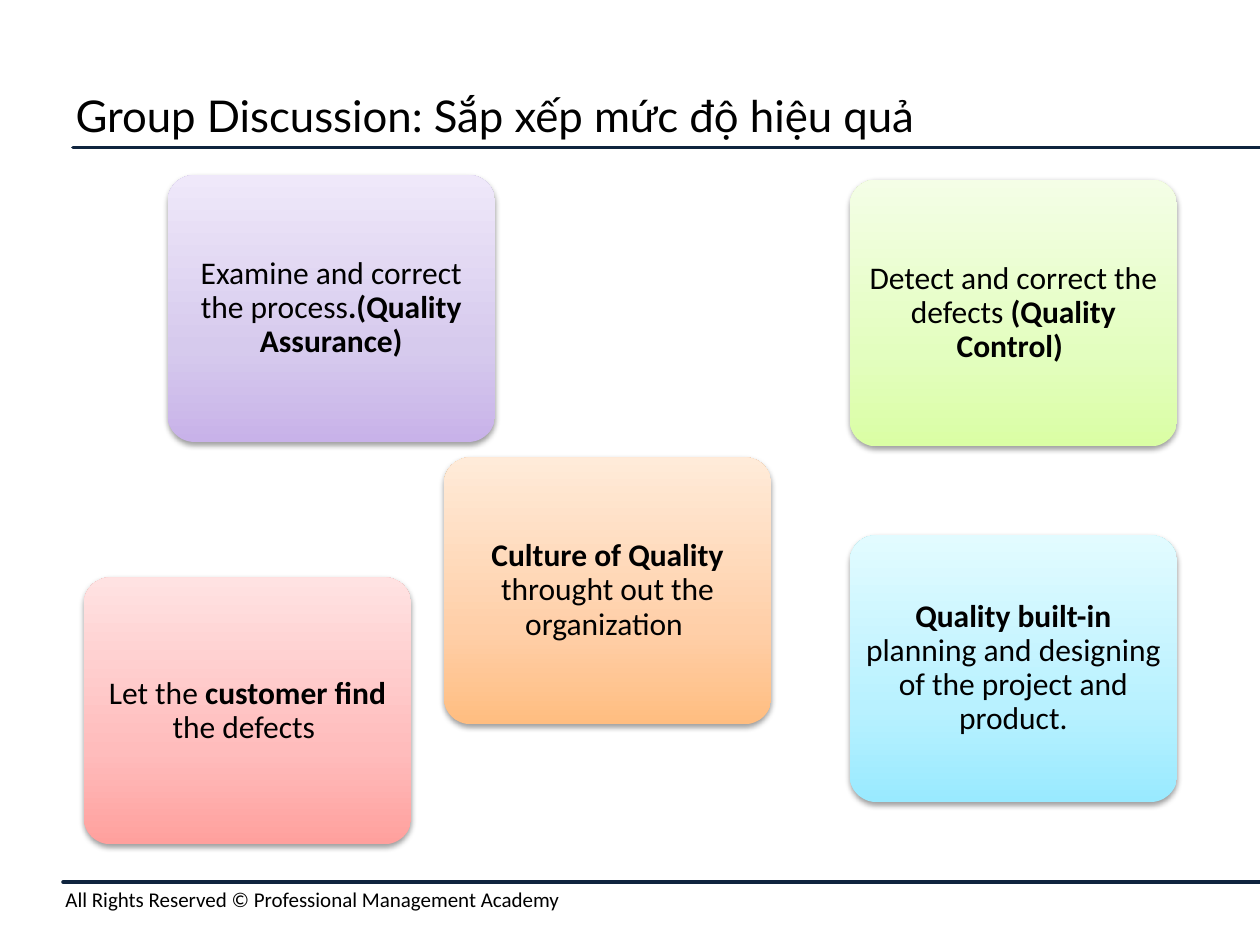
from copy import deepcopy

from lxml.etree import SubElement
from pptx import Presentation
from pptx.dml.color import RGBColor
from pptx.enum.shapes import MSO_CONNECTOR, MSO_SHAPE
from pptx.enum.text import MSO_ANCHOR, PP_ALIGN
from pptx.oxml.ns import qn
from pptx.util import Cm, Pt

PAGE_WIDTH, PAGE_HEIGHT = 25.4, 19.05
CARD_WIDTH, CARD_HEIGHT = 6.6, 5.38
RIGHT_COLUMN = 17.13
NAVY, BLACK = "0F243E", "000000"

# left, top, gradient from bottom to top, (text, bold) spans
CARDS = [
    (1.69, 11.64, ("FFA09D", "FFBCBC", "FFE2E2"),
     [("Let the ", False), ("customer find ", True), ("the defects ", False)]),
    (RIGHT_COLUMN, 3.62, ("DAFEA4", "E3FEBF", "F4FEE6"),
     [("Detect and correct the defects ", False), ("(Quality Control) ", True)]),
    (3.38, 3.53, ("C8B2E9", "D6CAED", "EFE8FA"),
     [("Examine and correct the process", False), (".(Quality Assurance)", True)]),
    (RIGHT_COLUMN, 10.79, ("99EAFF", "B8F1FF", "E2FBFF"),
     [("Quality built-in ", True),
      ("planning and designing of the project and product.", False)]),
    (8.95, 9.22, ("FFBD80", "FFCFA8", "FFEBD9"),
     [("Culture of Quality ", True), ("throught out the organization ", False)]),
]


def color(value):
    return RGBColor.from_string(value)


def place(shape, left, top, width, height):
    shape.left, shape.top = Cm(left), Cm(top)
    shape.width, shape.height = Cm(width), Cm(height)


def add_span(para, text, size, font="Calibri", bold=False):
    span = para.add_run()
    span.text = text
    span.font.name = font
    span.font.size = Pt(size)
    span.font.bold = bold
    span.font.color.rgb = color(BLACK)


def add_rule(page, left, top):
    """Draw a navy line from left to the right edge of the page."""
    rule = page.shapes.add_connector(
        MSO_CONNECTOR.STRAIGHT, Cm(left), Cm(top), Cm(PAGE_WIDTH), Cm(top))
    rule.line.color.rgb = color(NAVY)
    rule.line.width = Pt(2)
    properties = rule._element.spPr
    SubElement(properties, qn("a:effectLst"))
    properties.find(qn("a:ln")).set("cap", "rnd")


def fill_gradient(shape, colors):
    shape.fill.gradient()
    shape.fill.gradient_angle = 90
    stops = shape._element.spPr.find(qn("a:gradFill")).find(qn("a:gsLst"))
    stops.append(deepcopy(stops[0]))
    for stop, value, position in zip(shape.fill.gradient_stops, colors, (0, 0.35, 1)):
        stop.color.rgb = color(value)
        stop.position = position


def add_soft_shadow(shape):
    shape.shadow.inherit = False
    effects = shape._element.spPr.find(qn("a:effectLst"))
    shadow = SubElement(effects, qn("a:outerShdw"), blurRad="40000", dist="20000",
                        dir="5400000", rotWithShape="0")
    shade = SubElement(shadow, qn("a:srgbClr"), val=BLACK)
    SubElement(shade, qn("a:alpha"), val="38000")


def add_card(page, left, top, colors, spans):
    card = page.shapes.add_shape(
        MSO_SHAPE.ROUNDED_RECTANGLE,
        Cm(left), Cm(top), Cm(CARD_WIDTH), Cm(CARD_HEIGHT))
    card.adjustments[0] = 0.1
    fill_gradient(card, colors)
    card.line.fill.background()
    add_soft_shadow(card)

    frame = card.text_frame
    frame.word_wrap = True
    frame.vertical_anchor = MSO_ANCHOR.MIDDLE
    frame.margin_left = frame.margin_right = Cm(0.05)
    frame.margin_top = frame.margin_bottom = Cm(0.05)
    para = frame.paragraphs[0]
    para.alignment = PP_ALIGN.CENTER
    para.line_spacing = 0.9
    for text, bold in spans:
        add_span(para, text, 18, bold=bold)


def set_title(page, text):
    title = page.shapes.title
    place(title, 1.27, 1.27, 22.86, 2.11)
    frame = title.text_frame
    frame.word_wrap = True
    frame.vertical_anchor = MSO_ANCHOR.MIDDLE
    para = frame.paragraphs[0]
    para.alignment = PP_ALIGN.LEFT
    add_span(para, text, 25, font="Lato")


def add_footer(page, text):
    box = page.shapes.add_textbox(Cm(1.07), Cm(17.75), Cm(24.33), Cm(0.77))
    box.text_frame.word_wrap = True
    add_span(box.text_frame.paragraphs[0], text, 12)


def main():
    deck = Presentation()
    deck.slide_width, deck.slide_height = Cm(PAGE_WIDTH), Cm(PAGE_HEIGHT)
    page = deck.slides.add_slide(deck.slide_layouts[5])
    add_rule(page, 1.47, 2.97)
    add_rule(page, 1.27, 17.78)
    add_footer(page, "All Rights Reserved © Professional Management Academy")
    set_title(page, "Group Discussion: Sắp xếp mức độ hiệu quả")
    for card in CARDS:
        add_card(page, *card)
    deck.save("out.pptx")


if __name__ == "__main__":
    main()
